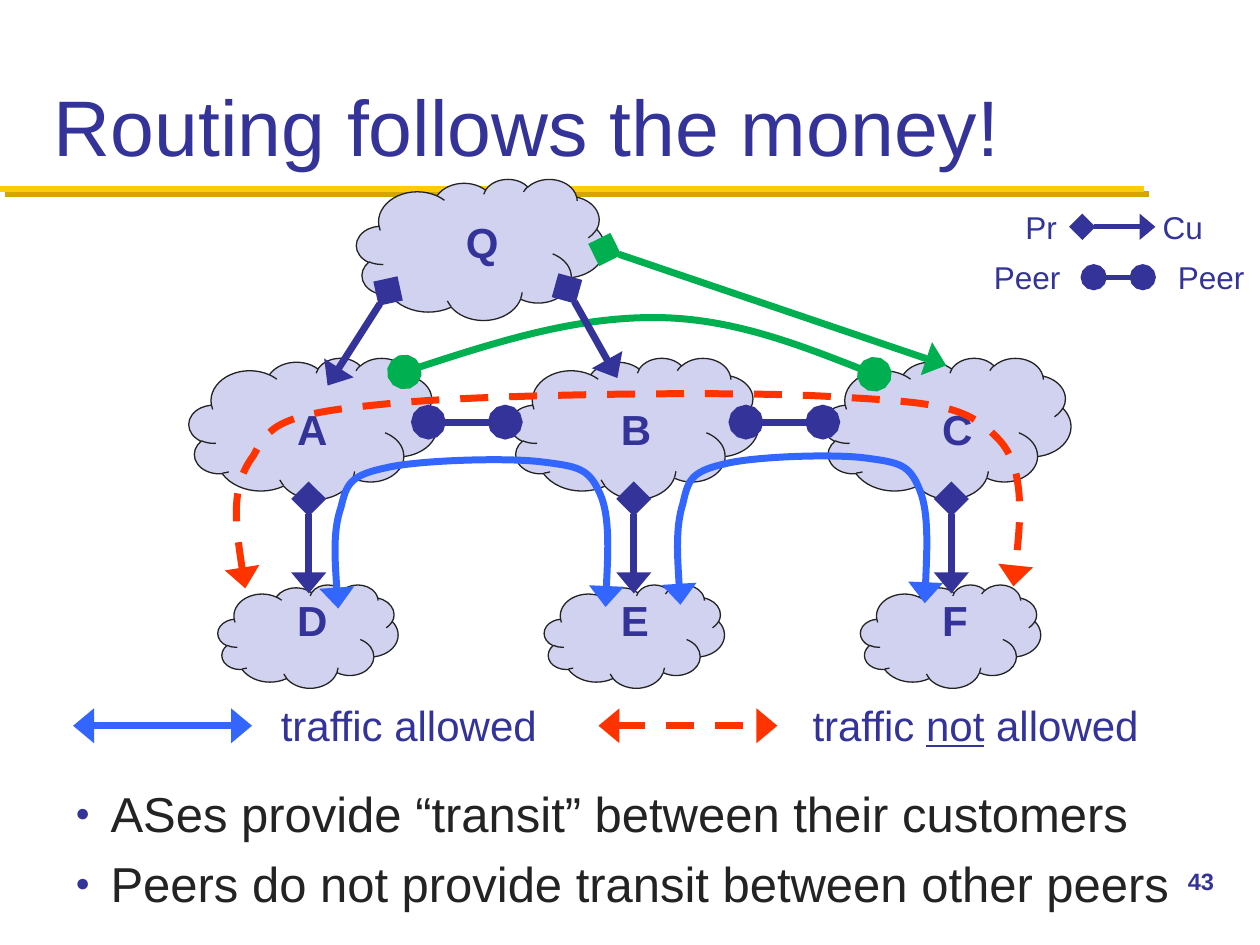
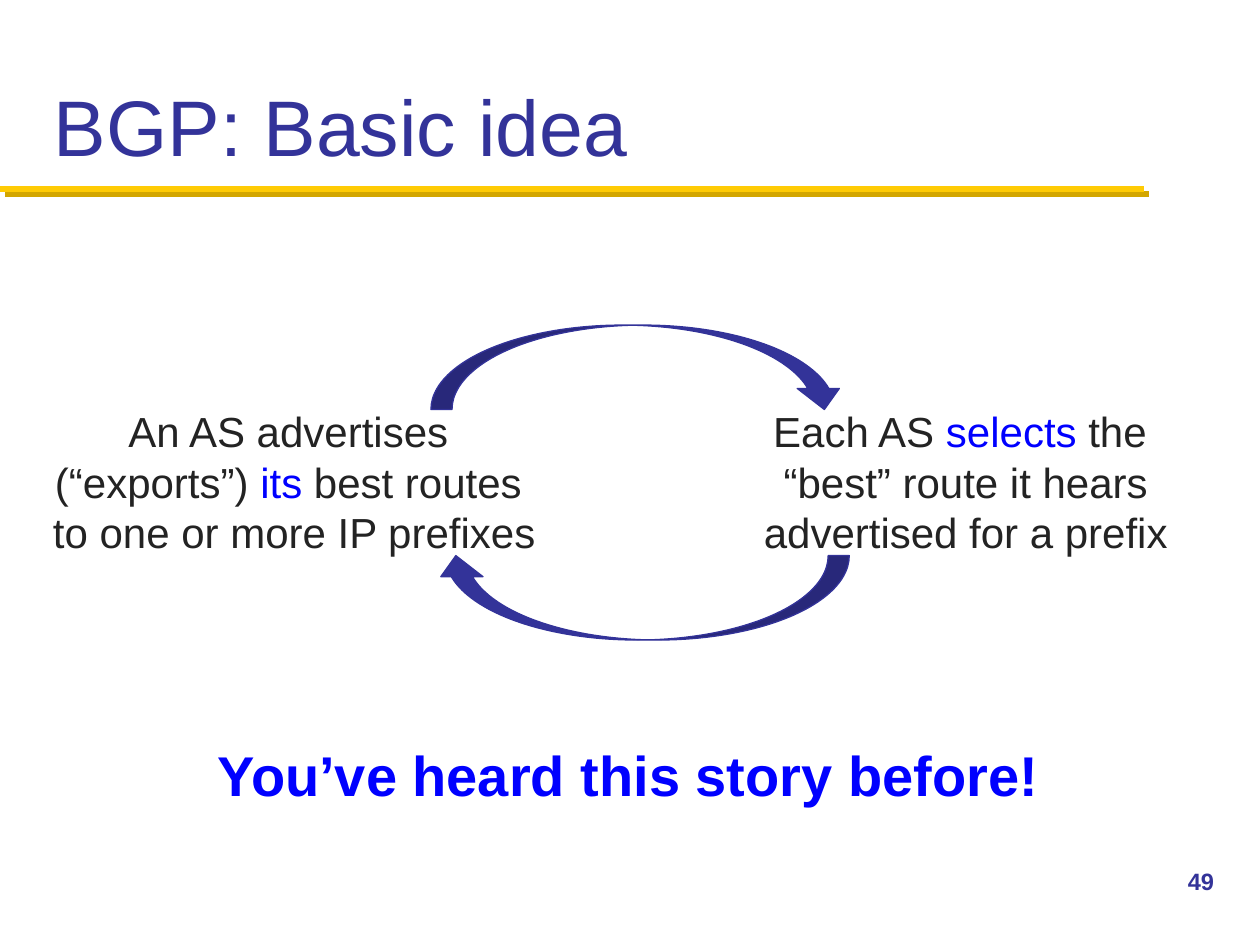
import dataclasses

import lxml.etree
import pptx
import pptx.dml.color
import pptx.enum.dml
import pptx.enum.shapes
import pptx.enum.text
import pptx.oxml.ns
import pptx.util

COLS, ROWS = 100, 75  # grid cells, each a tenth of an inch
CELL = pptx.util.Inches(10) // COLS
FONT = "Arial"
NAVY, INK, BLUE, LILAC = "333399", "232323", "0000FF", "D1D1F0"
GOLD, SHADE = "FFCB05", "D3A600"
SKY, RED, GREEN = "3366FF", "FF3300", "00B050"

KINDS = pptx.enum.shapes.MSO_SHAPE
ALIGN = pptx.enum.text.PP_ALIGN
ANCHOR = pptx.enum.text.MSO_ANCHOR

# Curves in shares of their box: a start, then two handles and an end per part
ARCH = [(.02, 1), (.01, .75), (0, .49), (.03, .33), (.05, .18), (.06, .12), (.19, .07),
        (.3, .02), (.62, 0), (.75, .03), (.88, .06), (.92, .07), (.96, .24),
        (1, .4), (.98, .99), (.98, .99)]
BOW = [(0, .96), (.18, .47), (.36, 0), (.53, 0), (.69, 0), (.85, .51), (1, 1)]


@dataclasses.dataclass
class Box:
    """A region of the slide in grid cells."""
    x: float
    y: float
    w: float
    h: float

    def sub(self, x, y, w, h):
        return Box(self.x + x, self.y + y, w, h)

    def dot(self, x, y):
        return round((self.x + x) * CELL), round((self.y + y) * CELL)

    def frame(self):
        return [round(n * CELL) for n in (self.x, self.y, self.w, self.h)]


def rgb(code):
    return pptx.dml.color.RGBColor.from_string(code)


def put(item, form):
    for name, value in form.items():
        setattr(item, name, value)


def node(root, tag, **values):
    item = lxml.etree.SubElement(root, pptx.oxml.ns.qn(tag))
    for name, value in values.items():
        item.set(name, str(value))
    return item


def write(slide, box, paras, size, color=NAVY, bold=False, wrap=True,
          align=ALIGN.LEFT, anchor=ANCHOR.TOP, bullet=False):
    """Paragraphs are lists of (text, changes) runs; a text of "\\n" breaks the line."""
    frame = slide.shapes.add_textbox(*box.frame()).text_frame
    put(frame, {"word_wrap": wrap, "vertical_anchor": anchor})
    for i, runs in enumerate(paras):
        para = frame.paragraphs[0] if i == 0 else frame.add_paragraph()
        para.alignment = align
        if bullet:
            mark(para)
        if i:
            para.space_before = pptx.util.Pt(6.5)
        for text, form in runs:
            if text == "\n":
                para.add_line_break()
                continue
            run = para.add_run()
            run.text = text
            look = {"name": FONT, "size": pptx.util.Pt(size), "bold": bold}
            tint = form.get("color", color)
            put(run.font, look | {k: v for k, v in form.items() if k != "color"})
            run.font.color.rgb = rgb(tint)


def label(slide, box, text, size, **form):
    write(slide, box, [[(text, {})]], size, **form)


def mark(para):
    """Give a paragraph a small round bullet."""
    props = para._p.get_or_add_pPr()
    indent = pptx.util.Inches(.28)
    props.set("marL", str(indent))
    props.set("indent", str(-indent))
    node(node(props, "a:buClr"), "a:srgbClr", val=NAVY)
    node(props, "a:buSzPct", val=50000)
    node(props, "a:buFont", typeface=FONT)
    node(props, "a:buChar", char="●")


def stroke(shape, color, width=4, ends=(), dash=False):
    line = shape.line
    line.color.rgb = rgb(color)
    line.width = pptx.util.Pt(width)
    if dash:
        line.dash_style = pptx.enum.dml.MSO_LINE.DASH
    for tag, kind in zip(("a:headEnd", "a:tailEnd"), ends):
        size = "med" if kind == "triangle" else "lg"
        node(line._get_or_add_ln(), tag, type=kind, w="lg", len=size)


def link(slide, box, start, end, color=NAVY, **form):
    """Draw a straight line and return its effect list."""
    line = slide.shapes.add_connector(pptx.enum.shapes.MSO_CONNECTOR.STRAIGHT,
                                      *box.dot(*start), *box.dot(*end))
    stroke(line, color, **form)
    return node(line._element.spPr, "a:effectLst")


def curve(slide, box, shares, color, **form):
    dots = [box.dot(x * box.w, y * box.h) for x, y in shares]
    outline = slide.shapes.build_freeform(*dots[0], scale=1.0)
    outline.add_line_segments(dots[1:], close=False)
    shape = outline.convert_to_shape()
    shape.fill.background()
    shape.shadow.inherit = False
    stroke(shape, color, **form)
    route = shape._element.xpath(".//a:path")[0]
    steps = list(route)[1:]
    for i in range(0, len(steps), 3):
        bend = node(route, "a:cubicBezTo")
        for step in steps[i:i + 3]:
            bend.append(step[0])
            route.remove(step)


def solid(slide, box, kind, fill, edge, turn=0):
    shape = slide.shapes.add_shape(kind, *box.frame())
    put(shape, {"rotation": turn})
    shape.shadow.inherit = False
    shape.fill.solid()
    shape.fill.fore_color.rgb = rgb(fill)
    stroke(shape, edge, .75)


def base(deck, title, number):
    """Add a slide with the shared title, gold rule and page number."""
    slide = deck.slides.add_slide(deck.slide_layouts[6])
    page = Box(0, 0, COLS, ROWS)
    glow = link(slide, page, (0, 15), (90.8, 15), GOLD, width=3.5)
    cast = node(glow, "a:outerShdw", dist=pptx.util.Pt(4.2), dir=45 * 60000,
                algn="ctr", rotWithShape=0)
    node(cast, "a:srgbClr", val=SHADE)
    label(slide, page.sub(3.3, 1.7, 93.3, 12.5), title, 45, anchor=ANCHOR.BOTTOM)
    label(slide, page.sub(93.3, 68.3, 6.7, 5), number, 13.5, bold=True)
    return slide


def network(slide, box):
    """Draw the provider, its peers and customers with the links between them."""
    sells, peers = ("diamond", "triangle"), ("oval", "oval")

    def cloud(x, y, w=19.7, h=11.2):
        solid(slide, box.sub(x, y, w, h), KINDS.CLOUD, LILAC, INK)

    for x in (2.3, 28.2, 53.3):
        cloud(x, 32.4, 14.3, 8.2)
    for x in (25.5, 50.3, 0):
        cloud(x, 14.4)
    for x in (19, 44.2):
        link(slide, box, (x, 19.5), (x + 6.1, 19.5), ends=peers)
    for x in (9.5, 35.3, 60.5):
        link(slide, box, (x, 25.6), (x, 33.1), ends=sells)
    cloud(13.3, .2)
    link(slide, box, (15.8, 9.1), (11, 16.6), ends=sells)
    for names, y in (("ABC", 17.5), ("DEF", 32.7)):
        for name, x in zip(names, (7.6, 33.3, 58.8)):
            label(slide, box.sub(x, y, 3.7, 4.7), name, 24, bold=True, wrap=False)
    label(slide, box.sub(21, 2.7, 4, 5), "Q", 24, bold=True, wrap=False)

    both = ("triangle", "triangle")
    curve(slide, box.sub(11.4, 22.3, 22.1, 12), ARCH, SKY, ends=both)
    curve(slide, box.sub(38.6, 22, 20.2, 12), ARCH, SKY, ends=both)
    curve(slide, box.sub(3.2, 17, 63.5, 15.7), ARCH, RED, ends=both, dash=True)
    link(slide, box, (33, 5.8), (60.1, 15), GREEN, ends=sells)
    curve(slide, box.sub(17.1, 11.2, 37.3, 4.5), BOW, GREEN, ends=peers)
    link(slide, box, (30, 8.9), (34, 16), ends=sells)


def roles(slide, box):
    """Explain the line ends: provider to customer, peer to peer."""
    link(slide, box, (8, 2), (13.8, 2), width=3, ends=("diamond", "triangle"))
    link(slide, box, (8.9, 6), (12.8, 6), width=3, ends=("oval", "oval"))
    for text, x, y, w in (("Pr", 2.5, 0, 4.7), ("Cu", 13.4, 0, 5.4),
                          ("Peer", 0, 4, 7.5), ("Peer", 14.6, 4, 7.5)):
        label(slide, box.sub(x, y, w, 4), text, 18, wrap=False)


def key(slide, box):
    """Explain the line colours."""
    allow = [("traffic allowed", {})]
    deny = [("traffic ", {}), ("not", {"underline": True}), (" allowed", {})]
    for x, gap, w, runs, color, dash in ((0, 15.5, 22.5, allow, SKY, False),
                                         (41.7, 16, 28.1, deny, RED, True)):
        link(slide, box, (x, 2.6), (x + 14.2, 2.6), color,
             ends=("triangle", "triangle"), dash=dash)
        write(slide, box.sub(x + gap, 0, w, 5.1), [runs], 24, wrap=False)


def money(deck):
    slide = base(deck, "Routing follows the money!", "43")
    network(slide, Box(15, 14, 70, 41))
    roles(slide, Box(77.9, 16, 22.1, 8))
    key(slide, Box(5.8, 55, 86, 5.1))
    points = ["ASes provide “transit” between their customers",
              "Peers do not provide transit between other peers"]
    write(slide, Box(5, 61.7, 90, 11.7), [[(text, {})] for text in points],
          28, INK, bullet=True)


def cycle(slide, box):
    """Two statements joined into a loop by a pair of curved arrows."""
    stress, turn = {"color": BLUE}, ("\n", {})
    picks = [("Each AS ", {}), ("selects", stress), (" the ", {}), turn,
             ("“best” route it hears advertised for a prefix", {})]
    sends = [("An AS advertises ", {}), turn, ("(“exports”) ", {}), ("its", stress),
             (" best routes ", {}), turn, ("to one or more IP prefixes", {})]
    for x, w, runs in ((50.8, 46.7, picks), (0, 41.7, sends)):
        write(slide, box.sub(x, 19, w, 14.2), [runs], 24, INK, align=ALIGN.CENTER)
    for x, y, angle in ((44.8, 0, 270), (45.1, 18.3, 90)):
        solid(slide, box.sub(x, y, 6.7, 32.9), KINDS.CURVED_LEFT_ARROW,
              NAVY, NAVY, angle)


def idea(deck):
    slide = base(deck, "BGP: Basic idea", "49")
    cycle(slide, Box(2.5, 12.7, 97.5, 51.2))
    label(slide, Box(16.3, 58.3, 67.9, 6.4), "You’ve heard this story before!", 32,
          color=BLUE, bold=True, wrap=False)


def main():
    deck = pptx.Presentation()
    put(deck, {"slide_width": COLS * CELL, "slide_height": ROWS * CELL})
    money(deck)
    idea(deck)
    deck.save("out.pptx")


if __name__ == "__main__":
    main()
